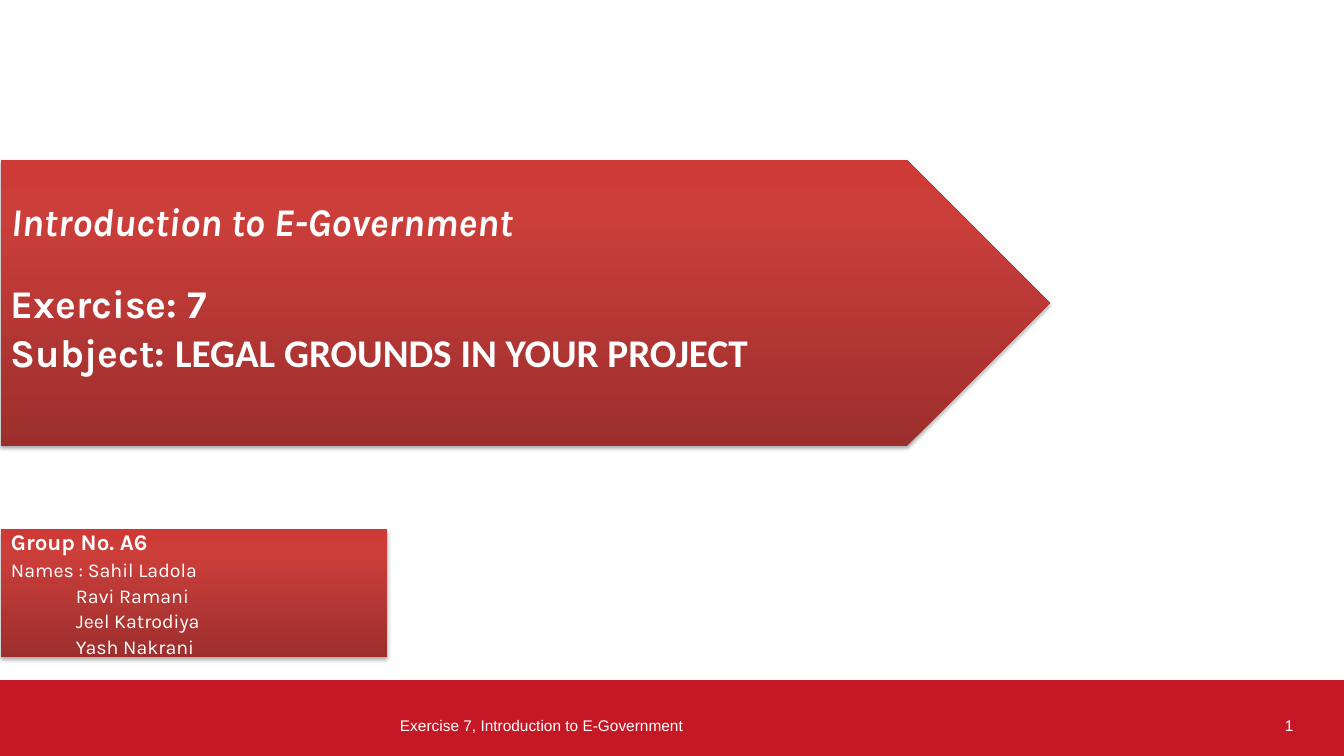
from dataclasses import dataclass

from lxml import etree
from pptx import Presentation
from pptx.dml.color import RGBColor
from pptx.enum.shapes import MSO_SHAPE
from pptx.enum.text import MSO_ANCHOR, PP_ALIGN
from pptx.util import Emu, Pt

RECTANGLE, PENTAGON = MSO_SHAPE.RECTANGLE, MSO_SHAPE.PENTAGON
TOP, MIDDLE = MSO_ANCHOR.TOP, MSO_ANCHOR.MIDDLE
LEFT, JUSTIFY = PP_ALIGN.LEFT, PP_ALIGN.JUSTIFY
PX = 914400 / 100.8
DRAWING = "http://schemas.openxmlformats.org/drawingml/2006/main"


def px(length):
    return Emu(round(length * PX))


@dataclass(frozen=True)
class Theme:
    band: str = "C51825"
    text: str = "FFFFFF"
    shadow: str = "000000"
    gradient: tuple = ((0, "9C2F2D"), (80, "CB3E3A"), (100, "CE3B37"))
    display: str = "Karla"
    subject: str = "Calibri"
    footer: str = "Arial"
    heading_size: int = 28
    group_size: int = 16
    name_size: int = 14
    footer_size: int = 11


class Page:
    def __init__(self, deck, theme):
        self.theme = theme
        self.shapes = deck.slides.add_slide(deck.slide_layouts[6]).shapes

    def panel(self, kind, left, top, width, height):
        shape = self.shapes.add_shape(kind, px(left), px(top), px(width), px(height))
        shape.shadow.inherit = False
        shape.line.fill.background()
        shape.fill.solid()
        shape.fill.fore_color.rgb = RGBColor.from_string(self.theme.band)
        return shape

    def raised_panel(self, kind, left, top, width, height):
        """Add a panel with the upward red gradient and a soft shadow below."""
        shape = self.panel(kind, left, top, width, height)
        properties = shape._element.spPr
        stops = "".join(
            f'<a:gs pos="{place * 1000}"><a:srgbClr val="{color}"/></a:gs>'
            for place, color in self.theme.gradient
        )
        gradient = etree.fromstring(
            f'<a:gradFill xmlns:a="{DRAWING}" rotWithShape="1"><a:gsLst>{stops}</a:gsLst>'
            '<a:lin ang="16200000" scaled="0"/></a:gradFill>'
        )
        properties.replace(properties.find(f"{{{DRAWING}}}solidFill"), gradient)
        shadow = etree.fromstring(
            f'<a:outerShdw xmlns:a="{DRAWING}" blurRad="{Pt(3.1)}" dist="{Pt(1.8)}" '
            'dir="5400000" rotWithShape="0">'
            f'<a:srgbClr val="{self.theme.shadow}"><a:alpha val="35000"/></a:srgbClr>'
            "</a:outerShdw>"
        )
        properties.find(f"{{{DRAWING}}}effectLst").append(shadow)
        return shape

    def label(self, left, top, width, height, words):
        box = self.shapes.add_textbox(px(left), px(top), px(width), px(height))
        font = {"name": self.theme.footer, "size": Pt(self.theme.footer_size)}
        self.fill_text(box, [([(words, font)], {}, 0)])

    def fill_text(self, shape, lines, margins=(0, 0, 0, 0), anchor=TOP):
        """Fill a shape with lines of (spans, paragraph format, indent in px)."""
        frame = shape.text_frame
        frame.word_wrap = True
        frame.vertical_anchor = anchor
        for side, margin in zip(("left", "top", "right", "bottom"), margins):
            setattr(frame, f"margin_{side}", px(margin))
        for index, (spans, layout, indent) in enumerate(lines):
            para = frame.add_paragraph() if index else frame.paragraphs[0]
            for key, value in ({"alignment": LEFT} | layout).items():
                if index or key != "space_before":
                    setattr(para, key, value)
            para._p.get_or_add_pPr().set("marL", str(px(indent)))
            for words, font in spans:
                span = para.add_run()
                span.text = words
                span.font.color.rgb = RGBColor.from_string(self.theme.text)
                for key, value in font.items():
                    setattr(span.font, key, value)


def main():
    deck = Presentation()
    deck.slide_width, deck.slide_height = px(1344), px(756)
    theme = Theme()
    page = Page(deck, theme)

    page.panel(RECTANGLE, 0, 680, 1344, 76)
    page.label(400, 716, 585, 19, "Exercise 7, Introduction to E-Government")
    page.label(1285, 716, 27, 20, "1")

    group_font = {"name": theme.display, "size": Pt(theme.group_size), "bold": True}
    name_font = {"name": theme.display, "size": Pt(theme.name_size)}
    tight = {"alignment": JUSTIFY, "line_spacing": Pt(15.1), "space_before": Pt(3.4)}
    members = [
        ("Group No. A6", group_font, 10),
        ("Names : Sahil Ladola", name_font, 10),
        ("Ravi Ramani", name_font, 75),
        ("Jeel Katrodiya", name_font, 75),
        ("Yash Nakrani", name_font, 75),
    ]
    group = page.raised_panel(RECTANGLE, 1, 529, 386, 128)
    lines = [([(words, font)], tight, indent) for words, font, indent in members]
    page.fill_text(group, lines, margins=(0, 5, 0, 0))

    heading_font = {"name": theme.display, "size": Pt(theme.heading_size), "bold": True}
    subject_font = heading_font | {"name": theme.subject}
    course = [("Introduction to E-Government", heading_font | {"italic": True})]
    exercise = [("Exercise: 7", heading_font)]
    subject = [("Subject: ", heading_font), ("LEGAL GROUNDS IN YOUR PROJECT", subject_font)]
    heading = page.raised_panel(PENTAGON, 1, 160, 1049, 286)
    lines = [
        (course, {"alignment": JUSTIFY}, 0),
        (exercise, {"alignment": JUSTIFY, "space_before": Pt(25.5)}, 0),
        (subject, {"space_before": Pt(0.9)}, 0),
    ]
    page.fill_text(heading, lines, margins=(10, 5, 10, 39), anchor=MIDDLE)

    deck.save("out.pptx")


if __name__ == "__main__":
    main()
